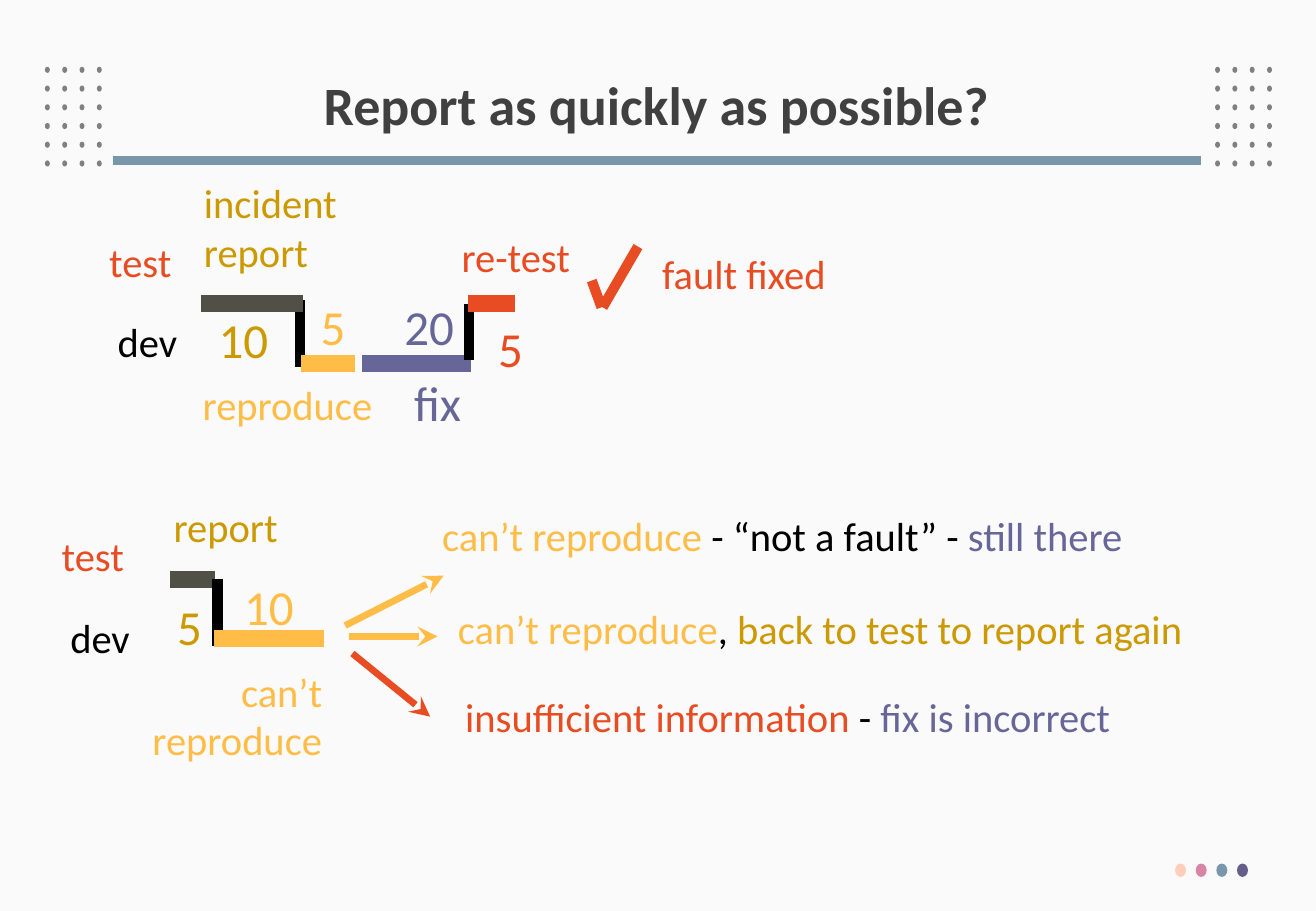
from dataclasses import dataclass
from itertools import product
from lxml.etree import SubElement
from pptx import Presentation
from pptx.dml.color import RGBColor
from pptx.enum.shapes import MSO_CONNECTOR, MSO_SHAPE
from pptx.enum.text import MSO_ANCHOR, PP_ALIGN
from pptx.oxml.ns import qn
from pptx.util import Inches, Pt

CELL = 0.1  # inches; the slide is a grid of 108.3 columns by 75 rows
COLS, ROWS = 108.3, 75
FONT = "Calibri"
HUES = {
    "paper": "FAFAFA", "title": "404040", "grid": "808080", "rule": "7897AB",
    "black": "000000", "slate": "505046", "gold": "CC9900", "amber": "FFBD47",
    "red": "E84C22", "violet": "666699",
    "peach": "FDCEB9", "pink": "D885A3", "plum": "655D8A",
}


@dataclass
class Box:
    """A region of the slide, in grid cells."""
    shapes: object
    left: float
    top: float
    width: float
    height: float

    def place(self, x, y):
        return cells(self.left + x), cells(self.top + y)


def cells(count):
    return Inches(count * CELL)


def paint(hue):
    return RGBColor.from_string(HUES[hue])


def dot(box, x, y, w, h, hue):
    mark = box.shapes.add_shape(
        MSO_SHAPE.OVAL, *box.place(x, y), cells(w), cells(h))
    mark.shadow.inherit = False
    mark.fill.solid()
    mark.fill.fore_color.rgb = paint(hue)
    mark.line.fill.background()


def stroke(box, x1, y1, x2, y2, hue, width, arrow=False):
    line = box.shapes.add_connector(
        MSO_CONNECTOR.STRAIGHT, *box.place(x1, y1), *box.place(x2, y2))
    line.line.color.rgb = paint(hue)
    line.line.width = Pt(width)
    if arrow:
        SubElement(line.line._get_or_add_ln(), qn("a:tailEnd"), type="stealth")
    SubElement(line._element.spPr, qn("a:effectLst"))


def text(box, x, y, w, lines, size=24, align=PP_ALIGN.LEFT):
    """Write lines, each a list of (words, hue) runs."""
    high = 1 + len(lines) * size * 0.17
    frame = box.shapes.add_textbox(
        *box.place(x, y), cells(w), cells(high)).text_frame
    frame.word_wrap = False
    for i, runs in enumerate(lines):
        para = frame.add_paragraph() if i else frame.paragraphs[0]
        para.alignment = align
        para.font.name = FONT
        para.font.size = Pt(size)
        for words, hue in runs:
            run = para.add_run()
            run.text = words
            run.font.color.rgb = paint(hue)
    return frame


def label(box, x, y, w, words, hue, size=24, align=PP_ALIGN.LEFT):
    lines = [[(line, hue)] for line in words.split("\n")]
    return text(box, x, y, w, lines, size, align)


def dot_grid(box):
    for row, col in product(range(6), range(4)):
        dot(box, col * box.width / 4, row * box.height / 6, 0.4, 0.5, "grid")


def header(box):
    frame = label(box, 0, 0.2, box.width, "Report as quickly as possible?",
                  "title", 32, PP_ALIGN.CENTER)
    frame.vertical_anchor = MSO_ANCHOR.MIDDLE
    frame.paragraphs[0].font.bold = True
    frame.paragraphs[0].line_spacing = 0.9
    stroke(box, 0, box.height, box.width, box.height, "rule", 5.25)


def footer(box):
    for i, hue in enumerate(("peach", "pink", "rule", "plum")):
        dot(box, i * box.width / 4, 0, 0.9, box.height, hue)


def fixed_flow(box):
    """Timeline of a fault that is reproduced, fixed and re-tested."""
    test, dev = 11, 15.9
    stroke(box, 16.7, 10.7, 16.7, 16.2, "black", 6)
    for x1, x2, y, hue in ((8.5, 16.9, test, "slate"),
                           (16.8, 21.2, dev, "amber"),
                           (21.8, 30.8, dev, "violet")):
        stroke(box, x1, y, x2, y, hue, 10)
    stroke(box, 30.6, 15.6, 30.6, test, "black", 6)
    stroke(box, 30.5, test, 34.4, test, "red", 10)
    stroke(box, 40.7, 9.1, 41.5, 11.3, "red", 6)
    stroke(box, 41.6, 11.3, 44.5, 6.3, "red", 6)
    for item in (
        (0, 5, 7.3, "test", "red"),
        (0.7, 11.6, 7.1, "dev", "black"),
        (7.8, 0.2, 13.2, "incident\nreport", "gold"),
        (9, 11, 6.2, "10", "gold", 29),
        (17.4, 9.9, 4.1, "5", "amber", 29),
        (7.7, 16.8, 16.3, "reproduce", "amber"),
        (24.3, 9.9, 6.2, "20", "violet", 29),
        (25.1, 16.2, 6, "fix", "violet", 29),
        (32, 11.7, 4.1, "5", "red", 29),
        (29, 4.6, 11.2, "re-test", "red"),
        (45.5, 6, 15.9, "fault fixed", "red"),
    ):
        label(box, *item)


def failed_flow(box):
    """Timeline of a fault that development cannot reproduce."""
    test, dev = 7.7, 12.6
    stroke(box, 10, test, 13.7, test, "slate", 10)
    stroke(box, 13.9, test, 13.9, 13.2, "black", 6)
    stroke(box, 13.6, dev, 22.7, dev, "amber", 10)
    for item in (
        (0.1, 3.2, 7.3, "test", "red"),
        (0.8, 10, 7.1, "dev", "black"),
        (9.3, 0.8, 10.8, "report", "gold"),
        (9.6, 8.6, 4.1, "5", "gold", 29),
        (15.1, 7, 6.2, "10", "amber", 29),
        (7.2, 14.4, 16.3, "can’t\nreproduce", "amber", 24, PP_ALIGN.RIGHT),
    ):
        label(box, *item)


def outcomes(box):
    """Arrows that lead to the three results of a failed report."""
    for ends, hue, spot, runs in (
        ((0.4, 10.5, 8.5, 6.4), "amber", (7.4, 0.6, 58.8),
         [("can’t reproduce", "amber"), (" - “not a fault” - ", "black"),
          ("still there", "violet")]),
        ((0.7, 11.4, 8, 11.4), "amber", (8.7, 8.2, 62.6),
         [("can’t reproduce", "amber"), (", ", "black"),
          ("back to test to report again", "gold")]),
        ((1, 12.8, 7.4, 18), "red", (9.3, 15.5, 56),
         [("insufficient information", "red"), (" - ", "black"),
          ("fix is incorrect", "violet")]),
    ):
        stroke(box, *ends, hue, 4, arrow=True)
        text(box, *spot, [runs])


def main():
    deck = Presentation()
    deck.slide_width, deck.slide_height = cells(COLS), cells(ROWS)
    slide = deck.slides.add_slide(deck.slide_layouts[6])
    slide.background.fill.solid()
    slide.background.fill.fore_color.rgb = paint("paper")
    for draw, area in (
        (dot_grid, (3.7, 5.5, 5.7, 9.25)),
        (dot_grid, (100, 5.5, 5.7, 9.25)),
        (header, (9.3, 5.5, 89.5, 7.7)),
        (footer, (96.7, 71.1, 6.8, 1.1)),
        (fixed_flow, (8, 14, 62, 23)),
        (failed_flow, (4, 40, 24, 24)),
        (outcomes, (28, 41, 72, 21)),
    ):
        draw(Box(slide.shapes, *area))
    deck.save("out.pptx")


if __name__ == "__main__":
    main()
